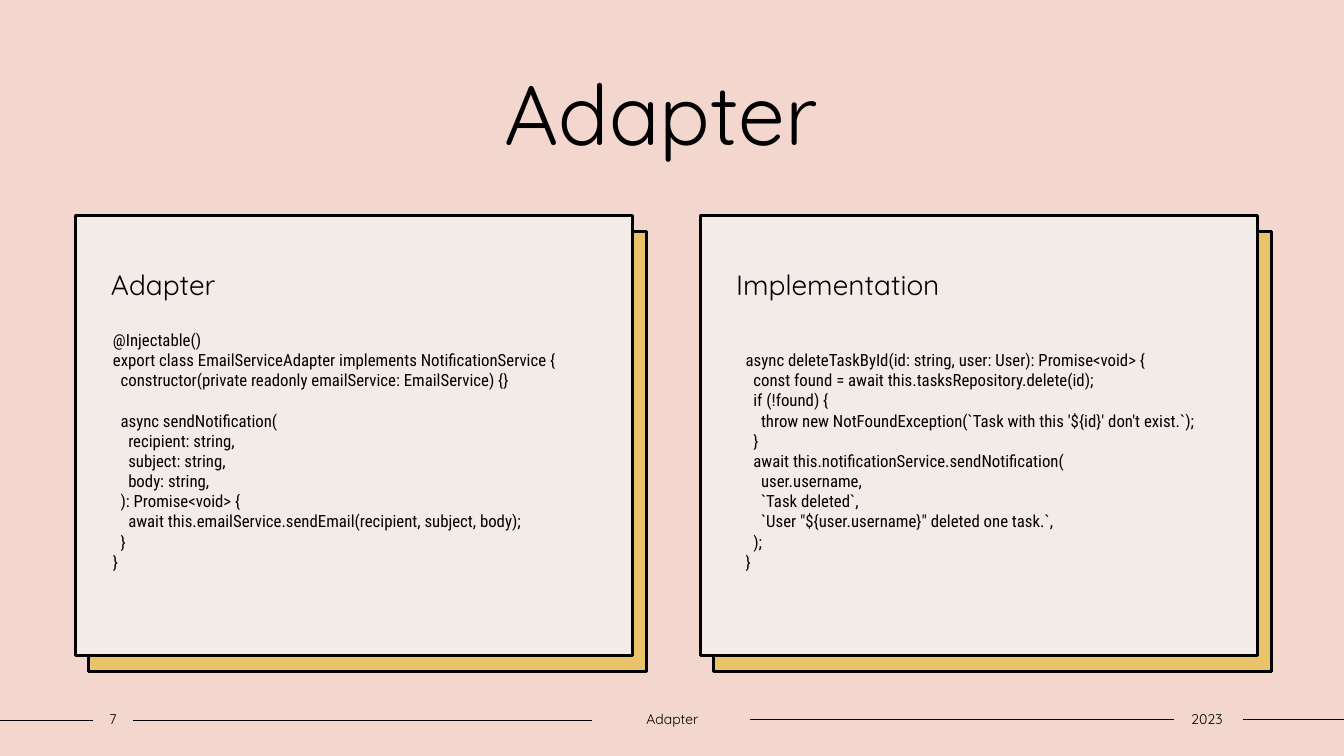
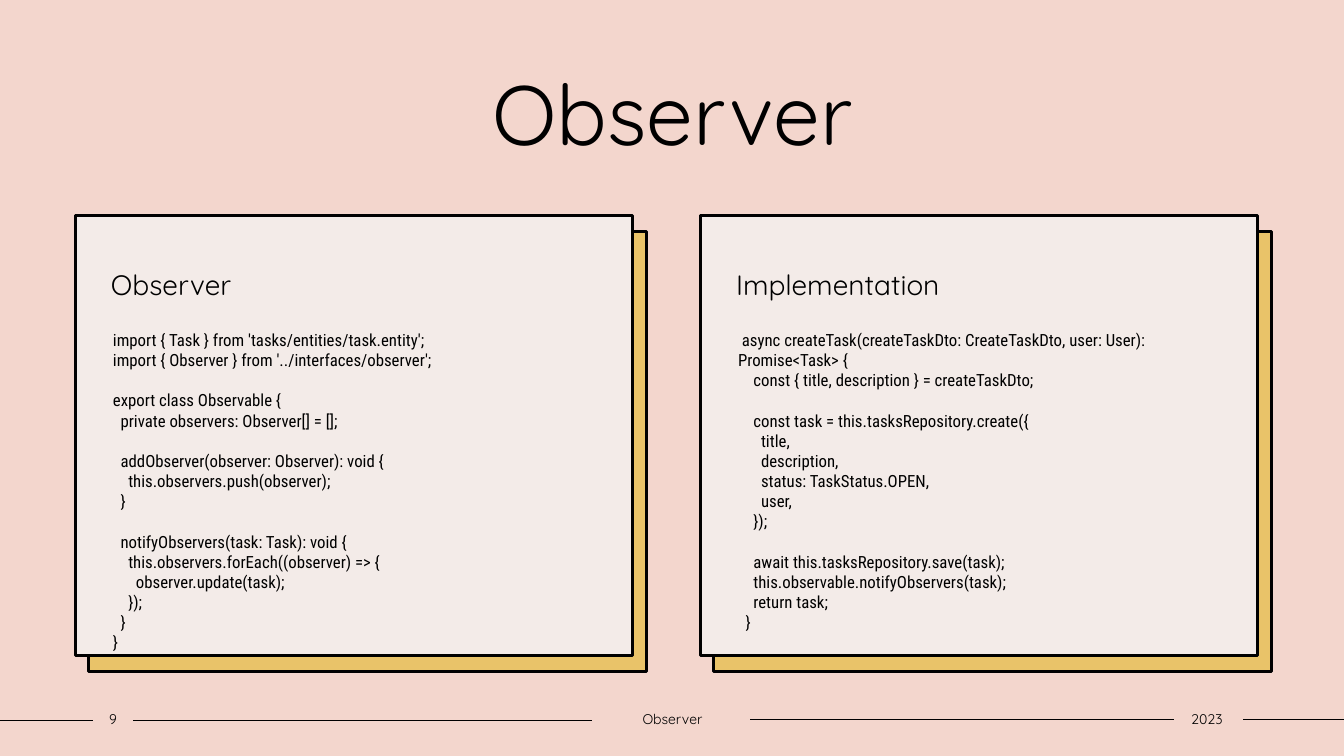
"""Build two slides that pair a design pattern with its code."""
from dataclasses import dataclass
from typing import Any

from lxml.etree import SubElement
from pptx import Presentation
from pptx.dml.color import RGBColor
from pptx.enum.shapes import MSO_CONNECTOR, MSO_SHAPE
from pptx.enum.text import MSO_ANCHOR, MSO_AUTO_SIZE, PP_ALIGN
from pptx.oxml.ns import qn
from pptx.util import Inches, Pt

HUES = {"back": "F3D6CD", "card": "F3EBE8", "shade": "E9C369", "ink": "000000"}
HEAD, CODE = "Quicksand", "Roboto Condensed"
PITCH = 6.2
SPACE = 0.038
ROW = 0.2
RULES = [(0, 0.92, 7.15), (1.32, 5.87, 7.15), (7.44, 11.64, 7.14), (12.33, 13.33, 7.14)]


@dataclass(frozen=True)
class Box:
    left: float
    top: float
    width: float
    height: float

    def shift(self, step: float) -> "Box":
        return Box(self.left + step, self.top, self.width, self.height)


@dataclass(frozen=True)
class Style:
    font: str
    size: float
    align: Any = PP_ALIGN.LEFT
    anchor: Any = MSO_ANCHOR.TOP
    pads: tuple = (0.1, 0.05, 0.1, 0.05)
    pitch: float = 1.0


@dataclass(frozen=True)
class Card:
    head: str
    code: str
    drop: float = 0


@dataclass(frozen=True)
class Page:
    title: str
    number: str
    cards: tuple


TITLE_BOX = Box(1.25, 0.56, 10.84, 1.11)
CARD_BOX = Box(0.75, 2.14, 5.52, 4.36)
SHADE_BOX = Box(0.88, 2.3, 5.53, 4.36)
CODE_BOX = Box(1.02, 3.22, 5.04, 3.05)
FOOT_BOXES = [Box(0.92, 7, 0.4, 0.27), Box(5.87, 7, 1.6, 0.27), Box(11.62, 7, 0.7, 0.27)]

TITLE = Style(HEAD, 60, PP_ALIGN.CENTER, MSO_ANCHOR.MIDDLE)
LABEL = Style(HEAD, 20, pads=(0.35, 0.55, 0.1, 0.05), pitch=0.9)
BODY = Style(CODE, 12)
FOOT = Style(HEAD, 10, PP_ALIGN.CENTER, MSO_ANCHOR.MIDDLE, (0, 0.05, 0, 0.05))

PAGES = [
    Page("Adapter ", "7", (
        Card("Adapter", """\
@Injectable()
export class EmailServiceAdapter implements NotificationService {
  constructor(private readonly emailService: EmailService) {}

  async sendNotification(
    recipient: string,
    subject: string,
    body: string,
  ): Promise<void> {
    await this.emailService.sendEmail(recipient, subject, body);
  }
}"""),
        Card("Implementation", """\
  async deleteTaskById(id: string, user: User): Promise<void> {
    const found = await this.tasksRepository.delete(id);
    if (!found) {
      throw new NotFoundException(`Task with this '${id}' don't exist.`);
    }
    await this.notificationService.sendNotification(
      user.username,
      `Task deleted`,
      `User "${user.username}" deleted one task.`,
    );
  }""", ROW))),
    Page("Observer", "9", (
        Card("Observer", """\
import { Task } from 'tasks/entities/task.entity';
import { Observer } from '../interfaces/observer';

export class Observable {
  private observers: Observer[] = [];

  addObserver(observer: Observer): void {
    this.observers.push(observer);
  }

  notifyObservers(task: Task): void {
    this.observers.forEach((observer) => {
      observer.update(task);
    });
  }
}"""),
        Card("Implementation", """\
 async createTask(createTaskDto: CreateTaskDto, user: User): Promise<Task> {
    const { title, description } = createTaskDto;

    const task = this.tasksRepository.create({
      title,
      description,
      status: TaskStatus.OPEN,
      user,
    });

    await this.tasksRepository.save(task);
    this.observable.notifyObservers(task);
    return task;
  }"""))),
]


def tint(name: str) -> RGBColor:
    return RGBColor.from_string(HUES[name])


def apply(item: Any, values: dict) -> None:
    for name, value in values.items():
        setattr(item, name, value)


def spot(box: Box) -> list:
    return [Inches(part) for part in (box.left, box.top, box.width, box.height)]


def place(shape: Any, box: Box) -> None:
    apply(shape, dict(zip(("left", "top", "width", "height"), spot(box))))


def paint(shape: Any, hue: str) -> None:
    shape.fill.solid()
    shape.fill.fore_color.rgb = tint(hue)
    shape.line.color.rgb = tint("ink")
    shape.line.width = Pt(2)


def add_line(frame: Any, first: bool, text: str, gap: float, style: Style) -> None:
    para = frame.paragraphs[0] if first else frame.add_paragraph()
    apply(para, {"alignment": style.align, "line_spacing": style.pitch,
                 "space_before": Inches(gap), "space_after": Pt(0)})
    props = para._p.get_or_add_pPr()
    words = text.lstrip(" ")
    props.set("marL", "0")
    props.set("indent", str(Inches(SPACE * (len(text) - len(words)))))
    SubElement(props, qn("a:buNone"))
    run = para.add_run()
    run.text = words
    apply(run.font, {"name": style.font, "size": Pt(style.size), "bold": False})
    run.font.color.rgb = tint("ink")


def write(shape: Any, text: str, style: Style) -> None:
    frame = shape.text_frame
    sides = ("margin_left", "margin_top", "margin_right", "margin_bottom")
    apply(frame, {"word_wrap": True, "auto_size": MSO_AUTO_SIZE.NONE,
                  "vertical_anchor": style.anchor,
                  **dict(zip(sides, map(Inches, style.pads)))})
    first, gap = True, 0.0
    for line in text.split("\n"):
        if not line:
            gap += ROW
            continue
        add_line(frame, first, line, gap, style)
        first, gap = False, 0.0


def add_shade(slide: Any, box: Box) -> None:
    shade = slide.shapes.add_shape(MSO_SHAPE.RECTANGLE, *spot(box))
    shade.shadow.inherit = False
    paint(shade, "shade")
    slide.shapes.element.insert(2, shade.element)


def add_card(slide: Any, index: int, card: Card) -> None:
    step = index * PITCH
    add_shade(slide, SHADE_BOX.shift(step))
    label, code = (slide.placeholders[2 * index + part] for part in (1, 2))
    place(label, CARD_BOX.shift(step))
    paint(label, "card")
    write(label, card.head, LABEL)
    base = CODE_BOX.shift(step)
    place(code, Box(base.left, base.top + card.drop, base.width, base.height - card.drop))
    write(code, card.code, BODY)


def add_foot(slide: Any, texts: tuple) -> None:
    for start, end, level in RULES:
        rule = slide.shapes.add_connector(
            MSO_CONNECTOR.STRAIGHT, *map(Inches, (start, level, end, level)))
        rule.line.color.rgb = tint("ink")
        rule.line.width = Pt(1)
        SubElement(rule.element.spPr, qn("a:effectLst"))
    for box, text in zip(FOOT_BOXES, texts):
        write(slide.shapes.add_textbox(*spot(box)), text, FOOT)


def add_page(deck: Any, page: Page) -> None:
    slide = deck.slides.add_slide(deck.slide_layouts.get_by_name("Comparison"))
    place(slide.shapes.title, TITLE_BOX)
    write(slide.shapes.title, page.title, TITLE)
    for index, card in enumerate(page.cards):
        add_card(slide, index, card)
    add_foot(slide, (page.number, page.title.strip(), "2023"))


def main() -> None:
    deck = Presentation()
    apply(deck, {"slide_width": Inches(13.33), "slide_height": Inches(7.5)})
    back = deck.slide_master.background.fill
    back.solid()
    back.fore_color.rgb = tint("back")
    for page in PAGES:
        add_page(deck, page)
    deck.save("out.pptx")


if __name__ == "__main__":
    main()
